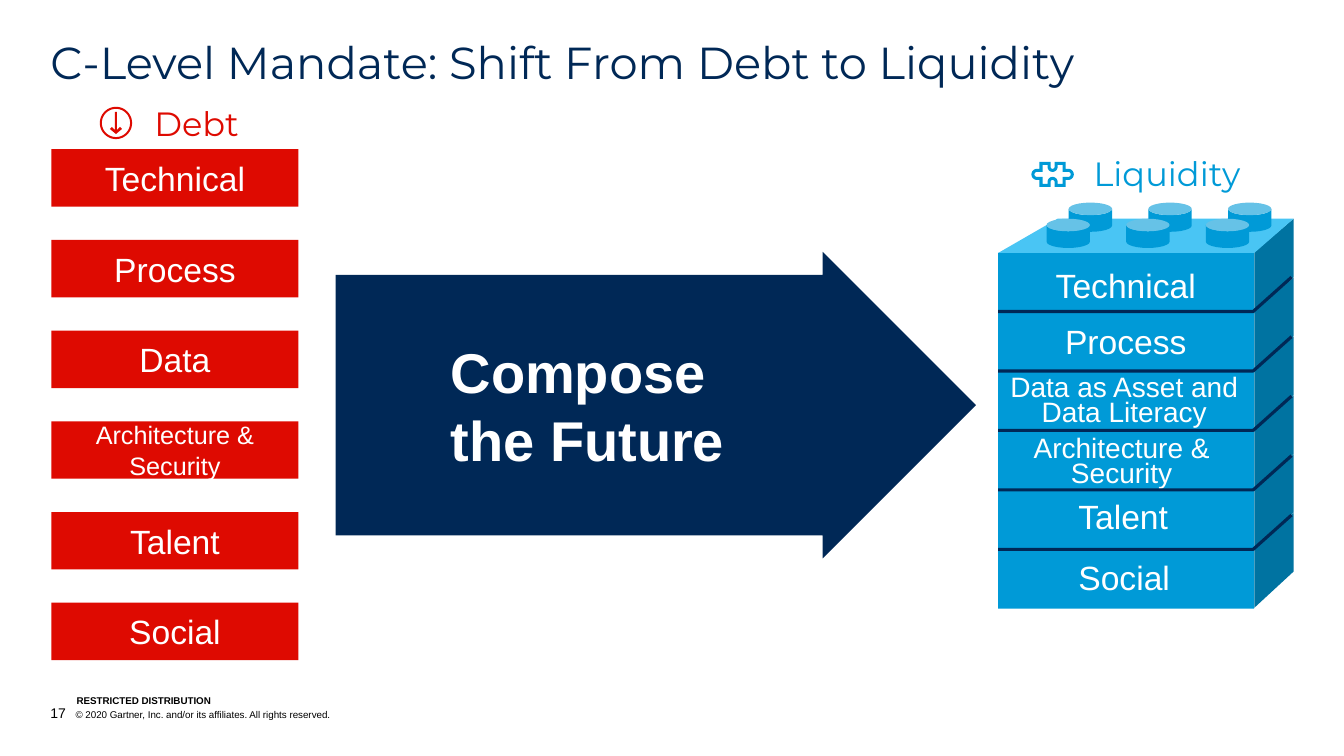
from dataclasses import dataclass
from math import cos, radians, sin

from pptx import Presentation
from pptx.dml.color import RGBColor
from pptx.enum.shapes import MSO_SHAPE as SHAPE
from pptx.enum.text import MSO_ANCHOR as ANCHOR, MSO_AUTO_SIZE as AUTO, PP_ALIGN as ALIGN
from pptx.util import Inches, Pt

NAVY, RED, BLUE, DARK_BLUE, SKY = "002856", "DE0A01", "009AD7", "0073A1", "49C5F4"
WHITE, BLACK = "FFFFFF", "000000"
Point = tuple[float, float]
Box = tuple[float, float, float, float]


@dataclass
class Style:
    size: float
    color: str = WHITE
    font: str = "Arial"
    bold: bool = False
    align: ALIGN = ALIGN.CENTER
    spacing: float = 1.0


@dataclass
class DebtItem:
    text: str
    size: float = 24


@dataclass
class BrickLabel:
    text: str
    box: Box
    size: float = 24
    spacing: float = 0.9
    anchor: ANCHOR = ANCHOR.TOP


DEBTS = [DebtItem("Technical"), DebtItem("Process"), DebtItem("Data"),
         DebtItem("Architecture & Security", 18), DebtItem("Talent"), DebtItem("Social")]
BRICK_LABELS = [
    BrickLabel("Technical", (10.04, 2.63, 2.25, 0.37), spacing=1.0),
    BrickLabel("Process", (10.04, 3.23, 2.25, 0.33)),
    BrickLabel("Data as Asset and\nData Literacy", (9.94, 3.74, 2.42, 0.51), 20, 0.75, ANCHOR.MIDDLE),
    BrickLabel("Architecture & Security", (9.99, 4.35, 2.27, 0.51), 20, 0.75),
    BrickLabel("Talent", (10.01, 4.97, 2.26, 0.33)),
    BrickLabel("Social", (10.03, 5.57, 2.24, 0.33)),
]


def rgb(color: str) -> RGBColor:
    return RGBColor.from_string(color)


def add_run(p, text: str, style: Style) -> None:
    r = p.add_run()
    r.text = text
    r.font.size, r.font.name, r.font.bold = Pt(style.size), style.font, style.bold
    r.font.color.rgb = rgb(style.color)


def write(sp, text: str, style: Style, anchor=ANCHOR.TOP, inset: float = 0):
    tf = sp.text_frame
    tf.word_wrap, tf.auto_size, tf.vertical_anchor = True, AUTO.NONE, anchor
    tf.margin_left = tf.margin_right = Inches(inset)
    tf.margin_top = tf.margin_bottom = Inches(inset / 2)
    p = tf.paragraphs[0]
    p.alignment, p.line_spacing, p.space_before = style.align, style.spacing, Pt(0)
    for i, line in enumerate(text.split("\n")):
        if i:
            p.add_line_break()
        add_run(p, line, style)
    return tf


def add_text(s, box: Box, text: str, style: Style, anchor=ANCHOR.TOP, inset: float = 0):
    return write(s.shapes.add_textbox(*map(Inches, box)), text, style, anchor, inset)


def add_block(s, kind: SHAPE, box: Box, color: str):
    sp = s.shapes.add_shape(kind, *map(Inches, box))
    sp.shadow.inherit = False
    sp.fill.solid()
    sp.fill.fore_color.rgb = rgb(color)
    sp.line.fill.background()
    return sp


def add_outline(s, contours: list[list[Point]], fill: str = "", line: str = "") -> None:
    pts = [[(Inches(x), Inches(y)) for x, y in c] for c in contours]
    fb = s.shapes.build_freeform(*pts[0][0], scale=1.0)
    for i, (start, *rest) in enumerate(pts):
        if i:
            fb.move_to(*start)
        fb.add_line_segments(rest, close=bool(fill))
    sp = fb.convert_to_shape()
    sp.shadow.inherit = False
    if fill:
        sp.fill.solid()
        sp.fill.fore_color.rgb = rgb(fill)
        sp.line.fill.background()
    else:
        sp.fill.background()
        sp.line.color.rgb = rgb(line)
        sp.line.width = Pt(2.25)


def arc(cx: float, cy: float, radius: float, start: int, end: int, steps: int = 8) -> list[Point]:
    angles = [radians(start + (end - start) * i / steps) for i in range(steps + 1)]
    return [(cx + radius * cos(a), cy + radius * sin(a)) for a in angles]


def puzzle_contour(cx: float, cy: float, inset: float) -> list[Point]:
    """Mirror one quarter of the puzzle piece into a whole contour."""
    tab, edge, top, notch = 0.055 - inset, 0.13 - inset, 0.125 - inset, 0.02 + inset
    quarter = (arc(0.155, 0, tab, 0, -90) + [(edge, -tab), (edge, -top), (notch, -top)]
               + arc(0, -0.075, notch, 0, 90))
    half = quarter + [(-x, y) for x, y in reversed(quarter)]
    whole = half + [(x, -y) for x, y in reversed(half)]
    return [(cx + x, cy + y) for x, y in whole]


def draw_debt(s) -> None:
    for i, item in enumerate(DEBTS):
        sp = add_block(s, SHAPE.RECTANGLE, (0.51, 1.48 + 0.9 * i, 2.45, 0.57), RED)
        write(sp, item.text, Style(item.size), ANCHOR.MIDDLE)
    add_text(s, (1.42, 0.97, 1.06, 0.5), "Debt", Style(24, RED, "Montserrat"), inset=0.1)
    # Circled down arrow
    cx, cy = 1.15, 1.22
    arrow = [(-0.01, -0.11), (0.01, -0.11), (0.01, 0.07), (0.04, 0.04), (0.06, 0.06),
             (0, 0.11), (-0.06, 0.06), (-0.04, 0.04), (-0.01, 0.07)]
    rings = [arc(cx, cy, radius, 0, 360, 48) for radius in (0.16, 0.14)]
    add_outline(s, rings + [[(cx + x, cy + y) for x, y in arrow]], RED)


def draw_brick(s) -> None:
    left, corner, right, top, front = 9.9, 12.44, 12.83, 2.17, 2.51
    pitch = 0.58
    add_block(s, SHAPE.RECTANGLE, (left, front, corner - left, 3.53), BLUE)
    # Side faces, bottom to top, then the lid
    for i in reversed(range(len(BRICK_LABELS))):
        y = top + 0.584 * i
        add_outline(s, [[(corner, y + 0.33), (right, y), (right, y + pitch), (corner, y + 0.94)]], DARK_BLUE)
    add_outline(s, [[(left, front), (corner, front), (right, top), (10.49, top)]], SKY)
    # Studs: back row, then front row
    for x0, y in ((10.6, 2.01), (10.38, 2.17)):
        for col in range(3):
            can = add_block(s, SHAPE.CAN, (x0 + 0.79 * col, y, 0.43, 0.29), BLUE)
            can.adjustments[0] = 0.43
    for label in BRICK_LABELS:
        add_text(s, label.box, label.text, Style(label.size, spacing=label.spacing), label.anchor)
    # Seams between the layers
    for i in range(len(BRICK_LABELS) - 1):
        y = 3.09 + 0.59 * i
        add_outline(s, [[(left, y), (12.43, y), (12.81, y - 0.34)]], line=NAVY)


def main() -> None:
    prs = Presentation()
    prs.slide_width, prs.slide_height = Inches(13.33), Inches(7.5)
    s = prs.slides.add_slide(prs.slide_layouts[5])

    # Title
    title = s.shapes.title
    title.left, title.top, title.width, title.height = map(Inches, (0.5, 0.4, 12.33, 0.49))
    write(title, "C-Level Mandate: Shift From Debt to Liquidity",
          Style(32, NAVY, "Montserrat", align=ALIGN.LEFT, spacing=0.9))

    # Footer
    add_text(s, (0.76, 6.9, 2.53, 0.11), "RESTRICTED DISTRIBUTION",
             Style(7, BLACK, bold=True, align=ALIGN.LEFT, spacing=0.9), ANCHOR.BOTTOM)
    tf = add_text(s, (0.5, 6.99, 7.99, 0.17), "17", Style(10, BLACK, align=ALIGN.LEFT), ANCHOR.BOTTOM)
    p = tf.paragraphs[0]
    pPr = p._p.get_or_add_pPr()
    pPr.set("marL", str(Inches(0.25)))
    pPr.set("indent", str(Inches(-0.25)))
    add_run(p, "\t© 2020 Gartner, Inc. and/or its affiliates. All rights reserved.", Style(7, BLACK))

    # Liquidity heading with puzzle piece
    add_text(s, (10.61, 1.47, 1.93, 0.5), "Liquidity", Style(24, BLUE, "Montserrat"), inset=0.1)
    add_outline(s, [puzzle_contour(10.44, 1.73, inset) for inset in (0, 0.03)], BLUE)

    # Central arrow
    arrow = add_block(s, SHAPE.RIGHT_ARROW, (3.33, 2.5, 6.35, 3.04), NAVY)
    arrow.adjustments[0], arrow.adjustments[1] = 0.85, 0.5
    tf = write(arrow, "Compose\nthe Future", Style(40, bold=True, align=ALIGN.LEFT), ANCHOR.MIDDLE, 0.1)
    tf.margin_left = Inches(1.14)

    draw_debt(s)
    draw_brick(s)
    prs.save("out.pptx")


if __name__ == "__main__":
    main()
